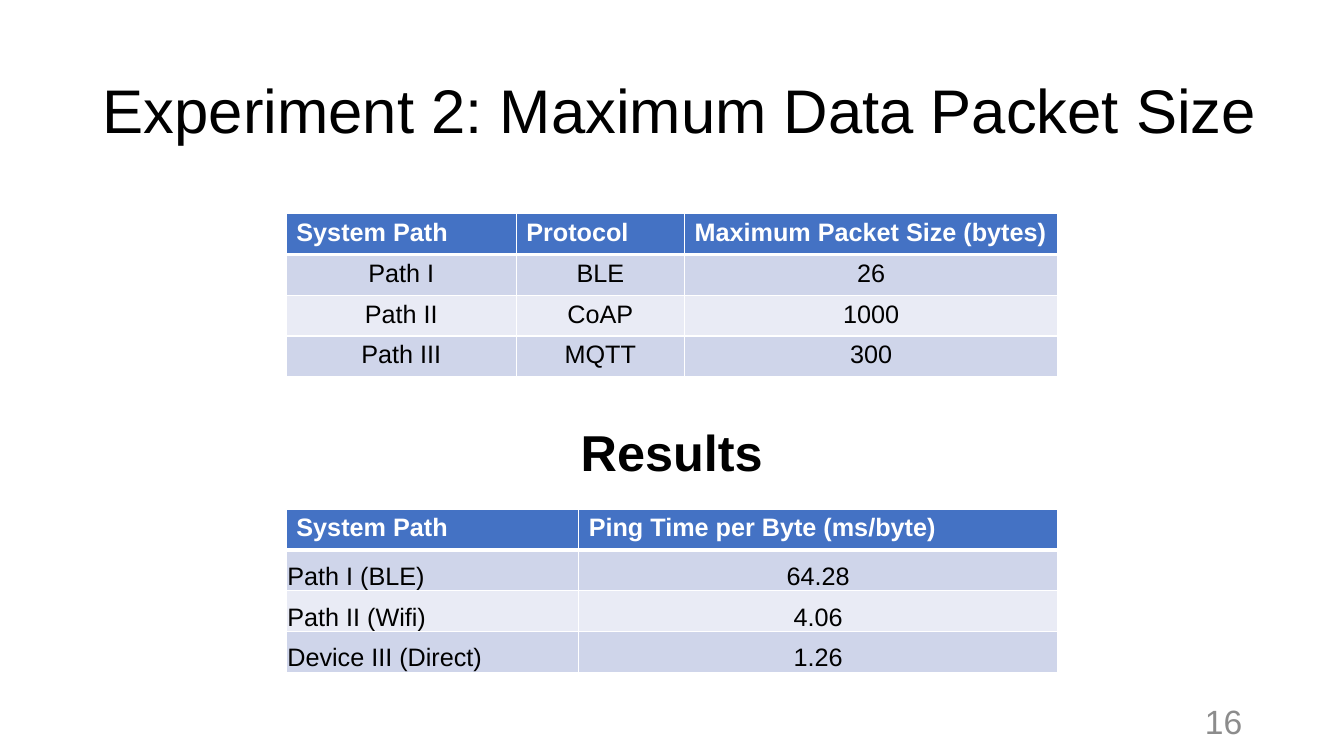
from dataclasses import dataclass

from lxml import etree
from pptx import Presentation
from pptx.dml.color import RGBColor
from pptx.enum import text as txt
from pptx.oxml import ns
from pptx.util import Inches, Pt

FONT = "Arial"
BLACK, WHITE, GRAY = "000000", "FFFFFF", "8C8C8C"
HEADER_FILL = "4472C4"
BAND_FILLS = ("CFD5EA", "E9EBF5")
TABLE_LEFT, ROW_HEIGHT = 2.84, 0.405


@dataclass
class TableSpec:
    top: float
    widths: list[float]
    rows: list[list[str]]
    tight: bool = False  # body cells: thin margins, bottom anchor, left first column


TABLES = [
    TableSpec(2.12, [2.28, 1.67, 3.7], [
        ["System Path", "Protocol", "Maximum Packet Size (bytes)"],
        ["Path I", "BLE", "26"],
        ["Path II", "CoAP", "1000"],
        ["Path III", "MQTT", "300"],
    ]),
    TableSpec(5.05, [2.9, 4.75], [
        ["System Path", "Ping Time per Byte (ms/byte)"],
        ["Path I (BLE)", "64.28"],
        ["Path II (Wifi)", "4.06"],
        ["Device III (Direct)", "1.26"],
    ], tight=True),
]


def color(value: str) -> RGBColor:
    return RGBColor.from_string(value)


def write(frame, words: str, size: float, ink: str, bold: bool = False,
          align=txt.PP_ALIGN.LEFT):
    """Fill a text frame with one formatted paragraph and return it."""
    frame.text = words
    para = frame.paragraphs[0]
    para.alignment = align
    para.font.name, para.font.size, para.font.bold = FONT, Pt(size), bold
    para.font.color.rgb = color(ink)
    return para


def place(shape, left: float, top: float, width: float, height: float) -> None:
    shape.left, shape.top = Inches(left), Inches(top)
    shape.width, shape.height = Inches(width), Inches(height)


def add_borders(cell, top: float, bottom: float) -> None:
    """Draw white cell borders; top and bottom are widths in points."""
    properties = cell._tc.get_or_add_tcPr()
    sides = {"lnL": 1, "lnR": 1, "lnT": top, "lnB": bottom}
    for index, (side, width) in enumerate(sides.items()):
        line = etree.Element(ns.qn(f"a:{side}"), w=str(Pt(width)))
        fill = etree.SubElement(line, ns.qn("a:solidFill"))
        etree.SubElement(fill, ns.qn("a:srgbClr"), val=WHITE)
        properties.insert(index, line)


def add_data_table(page, spec: TableSpec) -> None:
    count = len(spec.rows)
    table = page.shapes.add_table(
        count, len(spec.widths), Inches(TABLE_LEFT), Inches(spec.top),
        Inches(sum(spec.widths)), Inches(ROW_HEIGHT * count)).table
    for column, width in zip(table.columns, spec.widths):
        column.width = Inches(width)
    for r, values in enumerate(spec.rows):
        header = r == 0
        for c, value in enumerate(values):
            cell = table.cell(r, c)
            left = header or (spec.tight and c == 0)
            write(cell.text_frame, value, 18, WHITE if header else BLACK, header,
                  txt.PP_ALIGN.LEFT if left else txt.PP_ALIGN.CENTER)
            if spec.tight and not header:
                cell.vertical_anchor = txt.MSO_ANCHOR.BOTTOM
                cell.margin_left = cell.margin_right = cell.margin_top = Inches(0.01)
                cell.margin_bottom = 0
            cell.fill.solid()
            cell.fill.fore_color.rgb = color(HEADER_FILL if header else BAND_FILLS[(r - 1) % 2])
            add_borders(cell, top=3 if r == 1 else 1, bottom=3 if header else 1)


def main() -> None:
    deck = Presentation()
    deck.slide_width, deck.slide_height = Inches(13.33), Inches(7.5)
    page = deck.slides.add_slide(deck.slide_layouts[1])

    title, results = page.placeholders
    place(title, 0.92, 0.4, 11.86, 1.45)
    title.text_frame.auto_size = txt.MSO_AUTO_SIZE.NONE
    title.text_frame.vertical_anchor = txt.MSO_ANCHOR.MIDDLE
    write(title.text_frame, "Experiment 2: Maximum Data Packet Size", 44, BLACK).line_spacing = 0.9

    for spec in TABLES:
        add_data_table(page, spec)

    place(results, 5.66, 4.2, 2.01, 0.81)
    results.text_frame.auto_size = txt.MSO_AUTO_SIZE.NONE
    para = write(results.text_frame, "Results", 36, BLACK, bold=True)
    para.line_spacing, para.space_before = 0.9, Pt(0)
    properties = para._p.get_or_add_pPr()
    properties.set("marL", "0")
    properties.set("indent", "0")
    bullet = etree.Element(ns.qn("a:buNone"))
    properties.find(ns.qn("a:defRPr")).addprevious(bullet)

    number = page.shapes.add_textbox(Inches(9.42), Inches(6.95), Inches(3), Inches(0.4))
    number.text_frame.word_wrap = True
    number.text_frame.vertical_anchor = txt.MSO_ANCHOR.MIDDLE
    write(number.text_frame, "16", 24, GRAY, align=txt.PP_ALIGN.RIGHT)

    deck.save("out.pptx")


if __name__ == "__main__":
    main()
